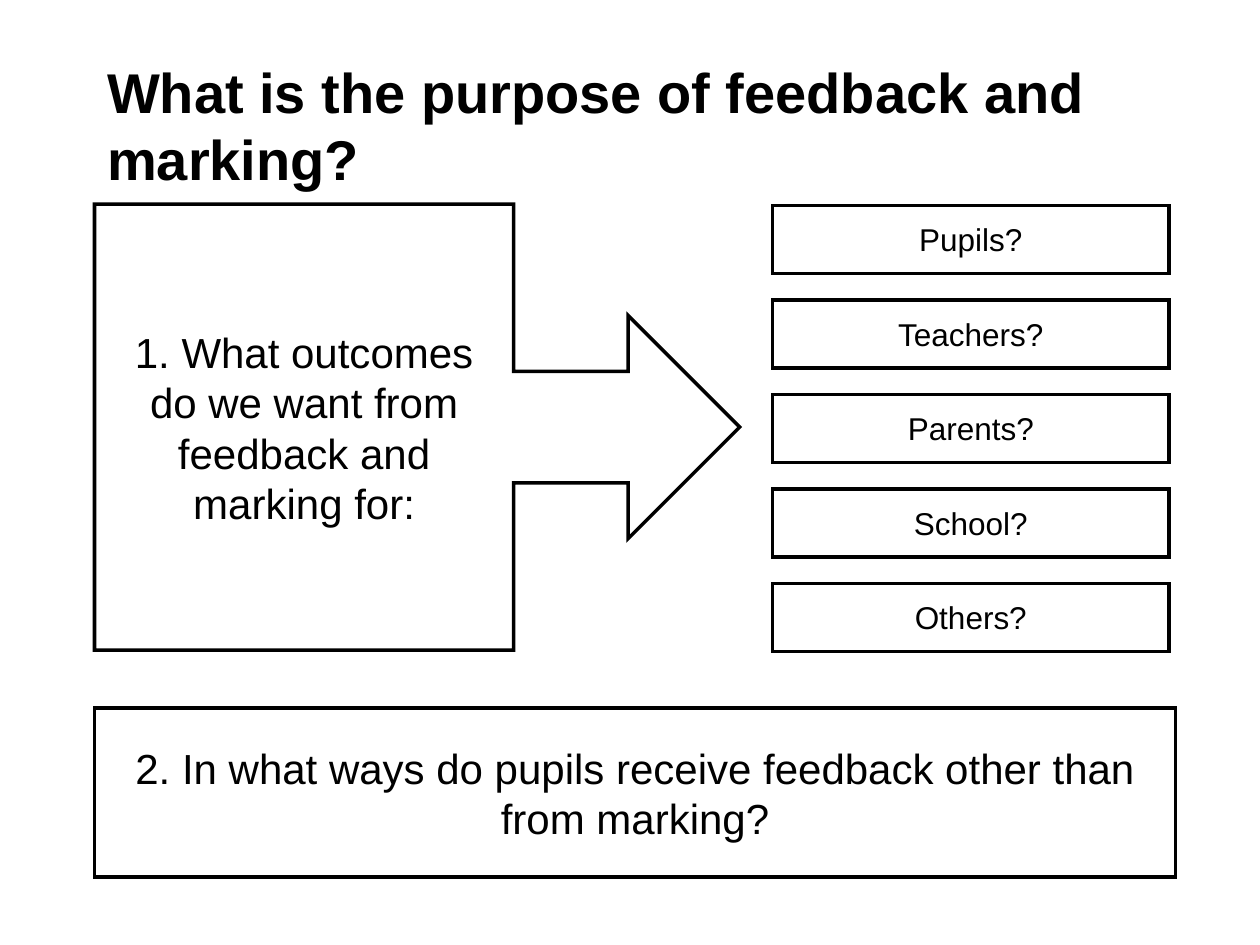
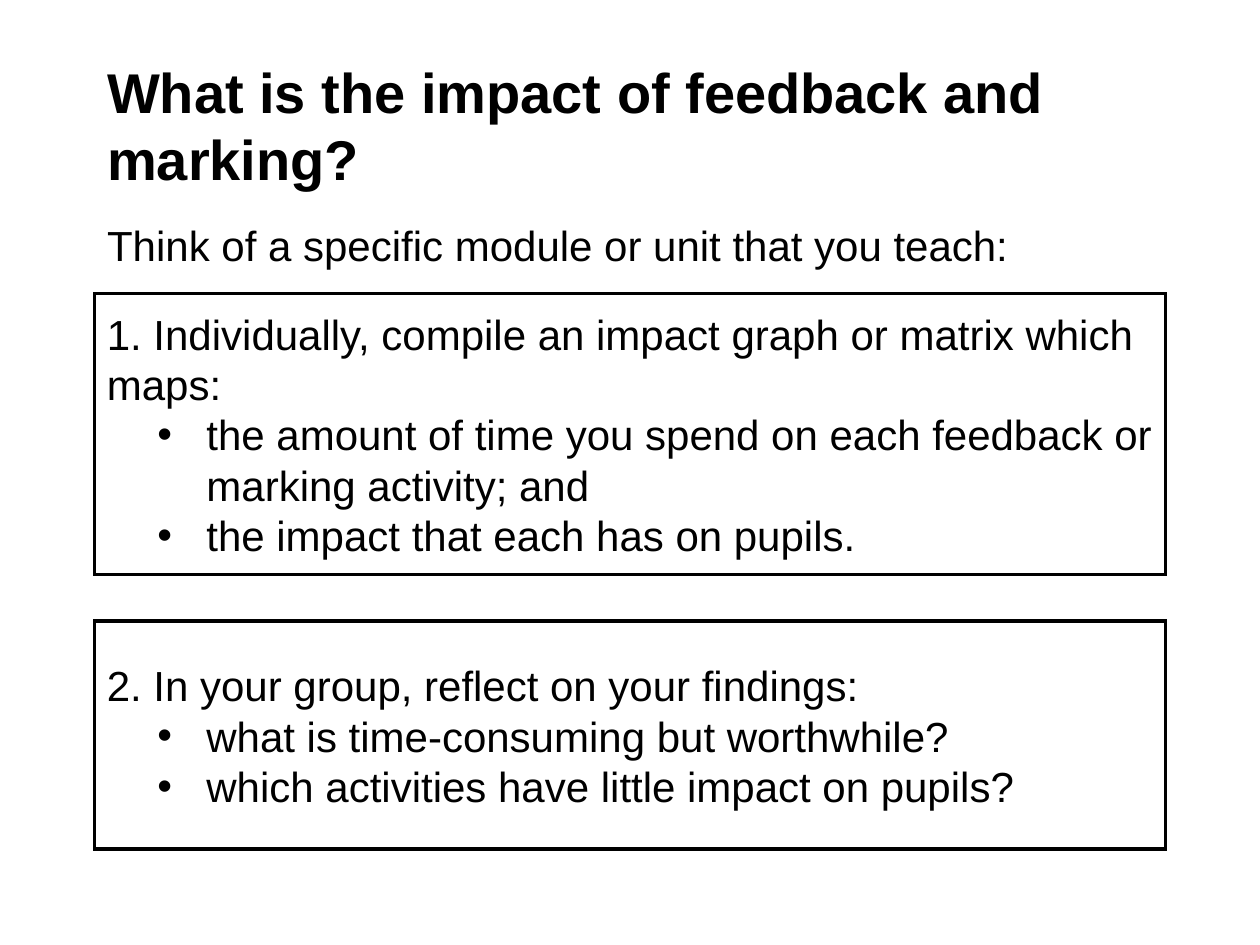
"""Build two discussion slides on the purpose and impact of feedback and marking."""
from lxml import etree
from pptx import Presentation
from pptx.dml.color import RGBColor
from pptx.enum.shapes import MSO_SHAPE
from pptx.enum.text import MSO_ANCHOR, MSO_AUTO_SIZE, PP_ALIGN
from pptx.oxml.ns import qn
from pptx.util import Inches, Pt

RECTANGLE = MSO_SHAPE.RECTANGLE
ARROW_CALLOUT = MSO_SHAPE.RIGHT_ARROW_CALLOUT
MIDDLE, TOP = MSO_ANCHOR.MIDDLE, MSO_ANCHOR.TOP
LEFT, CENTER = PP_ALIGN.LEFT, PP_ALIGN.CENTER
BLACK = "000000"
MARGIN = 0.75
CONTENT_WIDTH = 8.5
TITLE_ONLY, TITLE_AND_BODY = 5, 1


def write(shape, place, lines, size, bold=False, align=LEFT, anchor=MIDDLE):
    """Place a shape and fill it with lines; every line after the first is a bullet."""
    for name, value in zip(("left", "top", "width", "height"), place):
        setattr(shape, name, Inches(value))
    frame = shape.text_frame
    frame_format = {"word_wrap": True, "auto_size": MSO_AUTO_SIZE.NONE, "vertical_anchor": anchor}
    for name, value in frame_format.items():
        setattr(frame, name, value)
    frame.text = "\n".join(lines)
    for index, para in enumerate(frame.paragraphs):
        para.alignment = align
        para.space_before = Pt(0)
        font_format = {"name": "Arial", "size": Pt(size), "bold": bold}
        for name, value in font_format.items():
            setattr(para.runs[0].font, name, value)
        para.runs[0].font.color.rgb = RGBColor.from_string(BLACK)
        properties = para._p.get_or_add_pPr()
        properties.set("marL", str(Inches(0.79 if index else 0)))
        properties.set("indent", str(Inches(-0.39 if index else 0)))
        if index:
            para.level = 1
            etree.SubElement(properties, qn("a:buFont"), typeface="Arial")
            etree.SubElement(properties, qn("a:buChar"), char="•")
        else:
            etree.SubElement(properties, qn("a:buNone"))


def add_box(page, place, lines, size=24, align=CENTER, kind=RECTANGLE):
    """Add an unfilled box with a black outline and square corners."""
    box = page.shapes.add_shape(kind, *map(Inches, place))
    box.shadow.inherit = False
    box.fill.background()
    box.line.color.rgb = RGBColor.from_string(BLACK)
    box.line.width = Pt(2)
    etree.SubElement(box.line._get_or_add_ln(), qn("a:miter"), lim="800000")
    write(box, place, lines, size, align=align)


deck = Presentation()
deck.slide_width, deck.slide_height = Inches(10), Inches(7.5)

pages = []
for layout, title, top, height in (
    (TITLE_ONLY, "What is the purpose of feedback and marking?", 0.36, 1.26),
    (TITLE_AND_BODY, "What is the impact of feedback and marking?", 0.28, 1.42),
):
    page = deck.slides.add_slide(deck.slide_layouts[layout])
    write(page.shapes.title, (MARGIN, top, CONTENT_WIDTH, height), [title], 32, bold=True)
    pages.append(page)
purpose_page, impact_page = pages

add_box(purpose_page, (MARGIN, 1.62, 5.12, 3.54),
        ["1. What outcomes do we want from feedback and marking for:"], kind=ARROW_CALLOUT)
for row, audience in enumerate(("Pupils?", "Teachers?", "Parents?", "School?", "Others?")):
    add_box(purpose_page, (6.13, 1.63 + 0.75 * row, 3.15, 0.54), [audience], size=18)
add_box(purpose_page, (MARGIN, 5.62, 8.58, 1.34),
        ["2. In what ways do pupils receive feedback other than from marking?"])

intro = impact_page.placeholders[1]
write(intro, (MARGIN, 1.61, CONTENT_WIDTH, 0.6),
      ["Think of a specific module or unit that you teach:"], 24, anchor=TOP)
intro.text_frame.paragraphs[0].line_spacing = 1.2
intro.text_frame.paragraphs[0].space_after = Pt(6)

tasks = (
    (2.33, 2.23, ["1. Individually, compile an impact graph or matrix which maps:",
                  "the amount of time you spend on each feedback or marking activity; and",
                  "the impact that each has on pupils."]),
    (4.93, 1.81, ["2. In your group, reflect on your findings:",
                  "what is time-consuming but worthwhile?",
                  "which activities have little impact on pupils?"]),
)
for top, height, lines in tasks:
    add_box(impact_page, (MARGIN, top, CONTENT_WIDTH, height), lines, align=LEFT)

deck.save("out.pptx")
